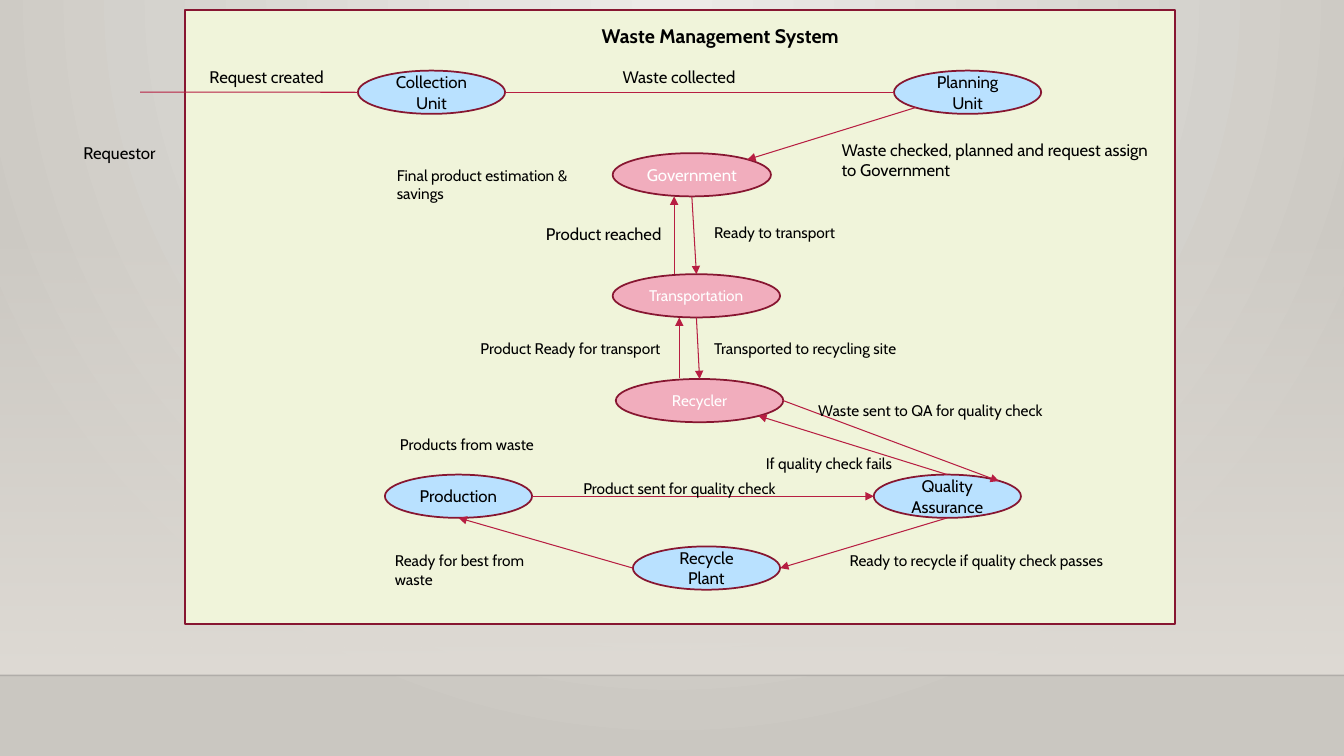
"""Build the waste management system flow slide."""
from lxml import etree
from pptx import Presentation
from pptx import util as u
from pptx.dml.color import RGBColor
from pptx.enum import shapes, text
from pptx.oxml.ns import qn

COLORS = {"glow": "ECEAE7", "floor": "CAC7C1", "wall": "DFDBD5", "edge": "000001",
          "panel": "F0F4DA", "outline": "871631", "flow": "B71E42",
          "pink": "F1ADBD", "blue": "B9E1FF", "black": "000000", "white": "FFFFFF"}
FONT = "Cabin"
SLIDE = (33.87, 19.05)
HORIZON = 17.02
WALL = (0, 5.61, SLIDE[0], 11.41)
PANEL = (4.67, 0.25, 24.94, 15.47)
TITLE = ("Waste Management System", (14.91, 0.48, 7.42, 0.86))
UNIT_HEIGHT = 1.09

UNITS = {
    "Government": (15.44, 3.86, 3.99, "pink", 12),
    "Collection Unit": (9.02, 1.78, 3.71, "blue", 12),
    "Planning Unit": (22.53, 1.78, 3.71, "blue", 12),
    "Transportation": (15.44, 6.91, 4.22, "pink", 11),
    "Recycler": (15.52, 9.55, 4.22, "pink", 11),
    "Quality Assurance": (22.02, 11.96, 3.71, "blue", 12),
    "Recycle Plant": (15.95, 13.77, 3.71, "blue", 12),
    "Production": (9.7, 11.96, 3.71, "blue", 12),
}

SITES = {"top": (0.5, 0), "left": (0, 0.5), "bottom": (0.5, 1), "right": (1, 0.5),
         "top right": (0.85, 0.15), "bottom left": (0.15, 0.85),
         "bottom right": (0.85, 0.85)}

FLOWS = [
    ((3.53, 2.32), ("Collection Unit", "left"), False),
    (("Collection Unit", "right"), ("Planning Unit", "left"), False),
    (("Planning Unit", "bottom left"), ("Government", "top right"), True),
    (("Government", "bottom"), ("Transportation", "top"), True),
    (("Transportation", "bottom"), ("Recycler", "top"), True),
    (("Recycler", "right"), ("Quality Assurance", "top right"), True),
    (("Quality Assurance", "bottom"), ("Recycle Plant", "right"), True),
    (("Quality Assurance", "top"), ("Recycler", "bottom right"), True),
    (("Recycle Plant", "left"), ("Production", "bottom"), True),
    (("Production", "right"), ("Quality Assurance", "left"), True),
    ((17.12, 9.53), (17.12, 8), True),
    ((16.99, 6.91), (16.99, 4.95), True),
]

LABELS = [
    ("Request created", 5.03, 1.55, 3.99, 12),
    ("Waste collected", 15.44, 1.55, 5, 12),
    ("Waste checked, planned and request assign to Government", 20.96, 3.4, 8.23, 12),
    ("Ready to transport", 17.75, 5.49, 6.3, 11),
    ("Transported to recycling site", 17.75, 8.41, 5.31, 11),
    ("Waste sent to QA for quality check", 20.37, 9.98, 6.3, 11),
    ("If quality check fails", 19.05, 11.33, 4.01, 11),
    ("Ready to recycle if quality check passes", 21.16, 13.77, 6.99, 11),
    ("Ready for best from waste", 9.7, 13.77, 4.75, 11),
    ("Products from waste", 9.83, 10.85, 4.47, 11),
    ("Product sent for quality check", 14.45, 11.96, 5.94, 11),
    ("Product Ready for transport", 11.86, 8.41, 5.13, 11),
    ("Product reached", 13.51, 5.51, 4.22, 12),
    ("Final product estimation & savings", 9.75, 4.06, 6.05, 11),
    ("Requestor", 1.85, 3.48, 2.44, 12),
]


def color(name):
    return RGBColor.from_string(COLORS[name])


def cm(values):
    return [u.Cm(value) for value in values]


def set_alpha(color_parent, percent):
    etree.SubElement(color_parent.find(qn("a:srgbClr")), qn("a:alpha"),
                     val=str(percent * 1000))


def set_gradient(fill, start, end):
    fill.gradient()
    for stop, name in zip(fill.gradient_stops, (start, end)):
        stop.color.rgb = color(name)


def write(shape, words, size, tint="black", bold=False,
          align=text.PP_ALIGN.LEFT, anchor=text.MSO_ANCHOR.TOP):
    frame = shape.text_frame
    frame.word_wrap = True
    frame.vertical_anchor = anchor
    paragraph = frame.paragraphs[0]
    paragraph.alignment = align
    run = paragraph.add_run()
    run.text = words
    run.font.name = FONT
    run.font.size = u.Pt(size)
    run.font.bold = bold
    run.font.color.rgb = color(tint)


def add_outlined(slide, preset, box, fill):
    shape = slide.shapes.add_shape(preset, *cm(box))
    shape.shadow.inherit = False
    shape.fill.solid()
    shape.fill.fore_color.rgb = color(fill)
    shape.line.color.rgb = color("outline")
    shape.line.width = u.Pt(1.25)
    return shape


def add_line(slide, start, end, tint, width):
    line = slide.shapes.add_connector(shapes.MSO_CONNECTOR.STRAIGHT, *cm(start + end))
    line.line.color.rgb = color(tint)
    line.line.width = u.Pt(width)
    etree.SubElement(line.element.spPr, qn("a:effectLst"))
    return line


def locate(end):
    if end[0] not in UNITS:
        return end
    left, top, width = UNITS[end[0]][:3]
    across, down = SITES[end[1]]
    return left + across * width, top + down * UNIT_HEIGHT


def add_backdrop(slide):
    set_gradient(slide.background.fill, "glow", "floor")
    linear = slide.element.find(".//" + qn("a:lin"))
    radial = etree.Element(qn("a:path"), {"path": "circle"})
    etree.SubElement(radial, qn("a:fillToRect"), l="43000", r="43000", b="100000")
    linear.getparent().replace(linear, radial)

    wall = slide.shapes.add_shape(shapes.MSO_SHAPE.RECTANGLE, *cm(WALL))
    wall.shadow.inherit = False
    wall.line.fill.background()
    set_gradient(wall.fill, "wall", "wall")
    wall.fill.gradient_angle = 270
    set_alpha(wall.element.find(".//" + qn("a:gs")), 0)

    horizon = add_line(slide, (0, HORIZON), (SLIDE[0], HORIZON), "edge", 1)
    set_alpha(horizon.element.find(".//" + qn("a:ln") + "/" + qn("a:solidFill")), 20)


def main():
    deck = Presentation()
    deck.slide_width, deck.slide_height = cm(SLIDE)
    slide = deck.slides.add_slide(deck.slide_layouts[5])
    add_backdrop(slide)

    panel = add_outlined(slide, shapes.MSO_SHAPE.RECTANGLE, PANEL, "panel")
    heading = slide.shapes.title
    heading.left, heading.top, heading.width, heading.height = cm(TITLE[1])
    write(heading, TITLE[0], 14, bold=True)
    heading.text_frame.auto_size = text.MSO_AUTO_SIZE.NONE
    panel.element.addnext(heading.element)

    for name, (left, top, width, fill, size) in UNITS.items():
        unit = add_outlined(slide, shapes.MSO_SHAPE.OVAL,
                            (left, top, width, UNIT_HEIGHT), fill)
        write(unit, name, size, "white" if fill == "pink" else "black",
              align=text.PP_ALIGN.CENTER, anchor=text.MSO_ANCHOR.MIDDLE)

    for start, end, arrow in FLOWS:
        flow = add_line(slide, locate(start), locate(end), "flow", 0.75)
        if arrow:
            etree.SubElement(flow.line._get_or_add_ln(), qn("a:tailEnd"), type="triangle")

    for words, left, top, width, size in LABELS:
        label = slide.shapes.add_textbox(*cm((left, top, width, 0.75)))
        write(label, words, size)
        label.text_frame.auto_size = text.MSO_AUTO_SIZE.SHAPE_TO_FIT_TEXT

    deck.save("out.pptx")


if __name__ == "__main__":
    main()
